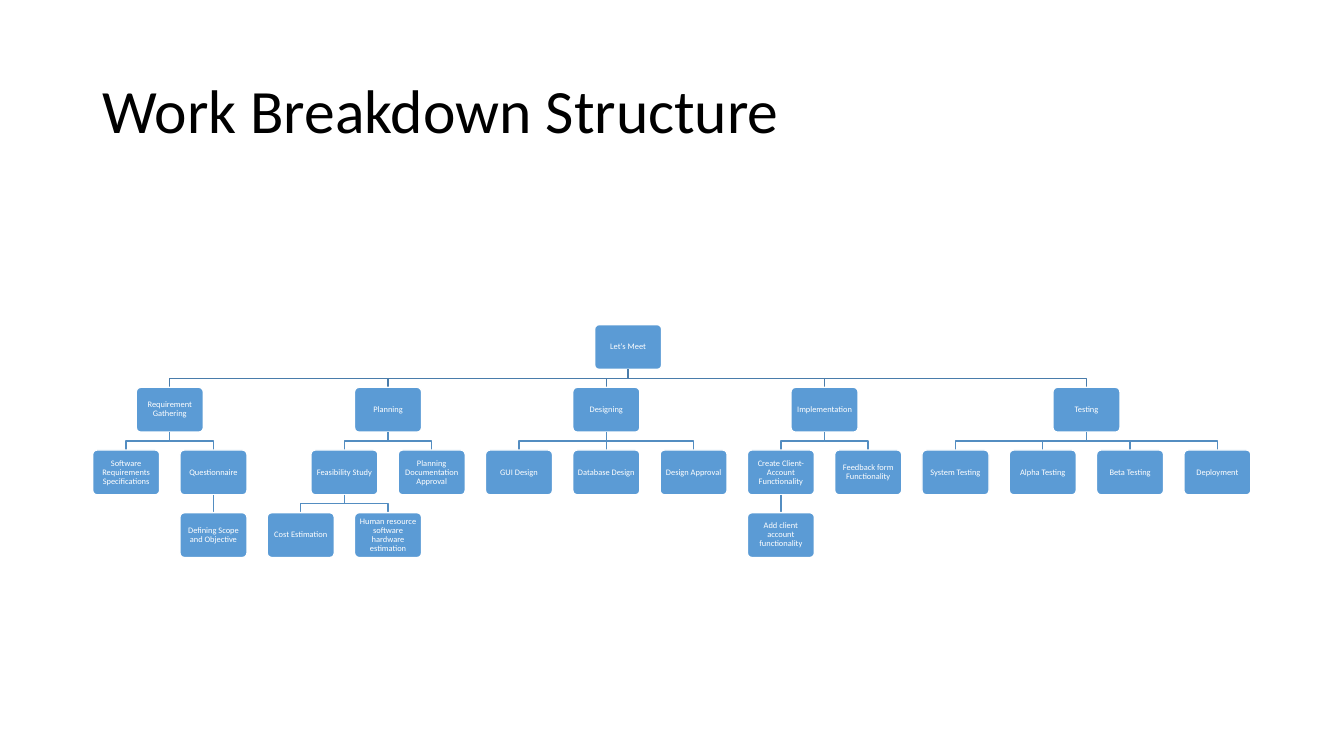
from dataclasses import dataclass, field

from lxml import etree
from pptx import Presentation
from pptx.dml.color import RGBColor
from pptx.enum.shapes import MSO_CONNECTOR, MSO_SHAPE
from pptx.enum.text import MSO_ANCHOR, PP_ALIGN
from pptx.oxml.ns import qn
from pptx.util import Cm, Pt

ROUNDED = MSO_SHAPE.ROUNDED_RECTANGLE
STRAIGHT = MSO_CONNECTOR.STRAIGHT
MIDDLE = MSO_ANCHOR.MIDDLE
LEFT, CENTER = PP_ALIGN.LEFT, PP_ALIGN.CENTER


@dataclass(frozen=True)
class Theme:
    font: str = "Calibri"
    title_size: float = 44
    task_size: float = 6
    line_width: float = 1
    title_color: RGBColor = RGBColor(0x00, 0x00, 0x00)
    task_fill: RGBColor = RGBColor(0x5B, 0x9B, 0xD5)
    task_text: RGBColor = RGBColor(0xFF, 0xFF, 0xFF)
    phase_branch: RGBColor = RGBColor(0x49, 0x7C, 0xAB)
    task_branch: RGBColor = RGBColor(0x53, 0x8D, 0xC1)


@dataclass
class Task:
    label: str
    subtasks: list["Task"] = field(default_factory=list)
    column: float = 0


THEME = Theme()

# Chart grid, in centimetres
FIRST_CENTER, TOP = 3.18, 8.18
COLUMN_PITCH, LEVEL_PITCH = 2.2, 1.58
TASK_WIDTH, TASK_HEIGHT = 1.69, 1.13
TASK_INSET = 0.06

PROJECT = Task("Let's Meet", [
    Task("Requirement Gathering", [
        Task("Software Requirements Specifications"),
        Task("Questionnaire", [Task("Defining Scope and Objective")]),
    ]),
    Task("Planning", [
        Task("Feasibility Study", [
            Task("Cost Estimation"),
            Task("Human resource software hardware estimation"),
        ]),
        Task("Planning Documentation Approval"),
    ]),
    Task("Designing", [
        Task("GUI Design"),
        Task("Database Design"),
        Task("Design Approval"),
    ]),
    Task("Implementation", [
        Task("Create Client- Account Functionality",
             [Task("Add client account functionality")]),
        Task("Feedback form Functionality"),
    ]),
    Task("Testing", [
        Task("System Testing"),
        Task("Alpha Testing"),
        Task("Beta Testing"),
        Task("Deployment"),
    ]),
])


def assign_columns(task: Task, level: int, next_free: list[float]) -> None:
    """Center each task over its subtasks; leaves take the next free column."""
    if level == len(next_free):
        next_free.append(0)
    for subtask in task.subtasks:
        assign_columns(subtask, level + 1, next_free)
    if task.subtasks:
        task.column = (task.subtasks[0].column + task.subtasks[-1].column) / 2
    else:
        task.column = max(next_free[:level + 1])
    next_free[level] = task.column + 1


def center_x(task: Task) -> float:
    return FIRST_CENTER + task.column * COLUMN_PITCH


def level_top(level: int) -> float:
    return TOP + level * LEVEL_PITCH


def write_text(frame, text: str, size: float, color: RGBColor, align) -> None:
    frame.word_wrap = True
    frame.vertical_anchor = MIDDLE
    paragraph = frame.paragraphs[0]
    paragraph.alignment = align
    paragraph.line_spacing = 0.9
    run = paragraph.add_run()
    run.text = text
    run.font.name = THEME.font
    run.font.size = Pt(size)
    run.font.color.rgb = color


def draw_title(slide, text: str) -> None:
    title = slide.shapes.add_textbox(Cm(2.33), Cm(1.01), Cm(29.21), Cm(3.68))
    write_text(title.text_frame, text, THEME.title_size, THEME.title_color, LEFT)


def draw_branch(slide, parent: Task, child: Task, level: int) -> None:
    """Join a parent to a child whose level is given."""
    start_x, end_x = Cm(center_x(parent)), Cm(center_x(child))
    start_y = Cm(level_top(level - 1) + TASK_HEIGHT)
    end_y = Cm(level_top(level))
    if start_x == end_x:
        branch = slide.shapes.add_connector(STRAIGHT, start_x, start_y, end_x, end_y)
        etree.SubElement(branch._element.spPr, qn("a:effectLst"))
    else:
        bend_y = (start_y + end_y) // 2
        outline = slide.shapes.build_freeform(start_x, start_y)
        outline.add_line_segments(
            [(start_x, bend_y), (end_x, bend_y), (end_x, end_y)], close=False)
        branch = outline.convert_to_shape()
        branch.fill.background()
        branch.shadow.inherit = False
    branch.line.color.rgb = THEME.phase_branch if level == 1 else THEME.task_branch
    branch.line.width = Pt(THEME.line_width)


def draw_task(slide, task: Task, level: int) -> None:
    box = slide.shapes.add_shape(
        ROUNDED, Cm(center_x(task) - TASK_WIDTH / 2), Cm(level_top(level)),
        Cm(TASK_WIDTH), Cm(TASK_HEIGHT))
    box.adjustments[0] = 0.1
    box.shadow.inherit = False
    box.fill.solid()
    box.fill.fore_color.rgb = THEME.task_fill
    box.line.color.rgb = THEME.task_text
    box.line.width = Pt(THEME.line_width)
    frame = box.text_frame
    frame.margin_left = frame.margin_right = Cm(TASK_INSET)
    frame.margin_top = frame.margin_bottom = Cm(TASK_INSET)
    write_text(frame, task.label, THEME.task_size, THEME.task_text, CENTER)


def draw_tree(slide, task: Task, level: int = 0) -> None:
    draw_task(slide, task, level)
    for subtask in task.subtasks:
        draw_branch(slide, task, subtask, level + 1)
        draw_tree(slide, subtask, level + 1)


def main() -> None:
    deck = Presentation()
    deck.slide_width, deck.slide_height = Cm(33.87), Cm(19.05)
    slide = deck.slides.add_slide(deck.slide_layouts[6])

    # Heading
    draw_title(slide, "Work Breakdown Structure")

    # Task hierarchy
    assign_columns(PROJECT, 0, [])
    draw_tree(slide, PROJECT)

    deck.save("out.pptx")


if __name__ == "__main__":
    main()
